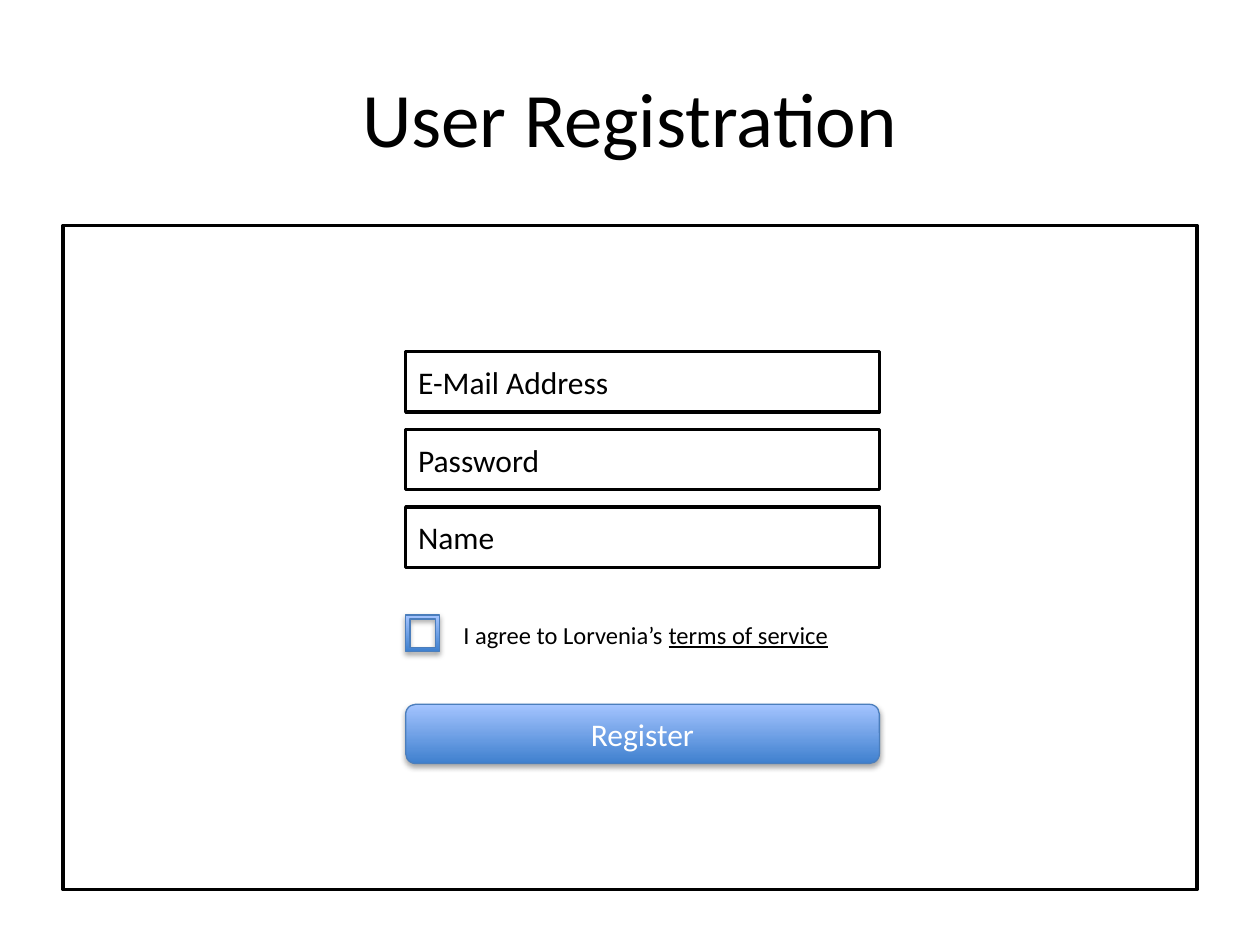
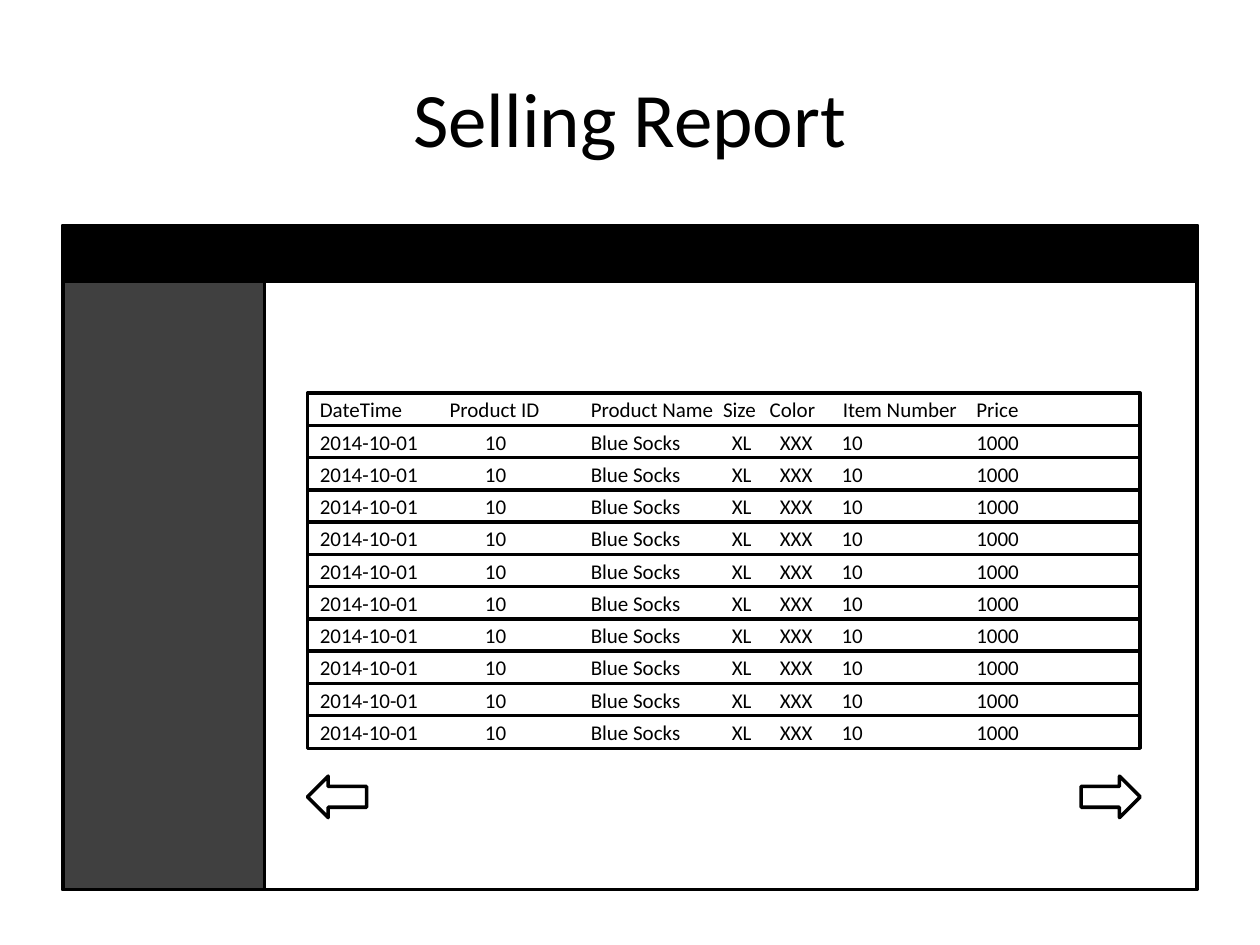
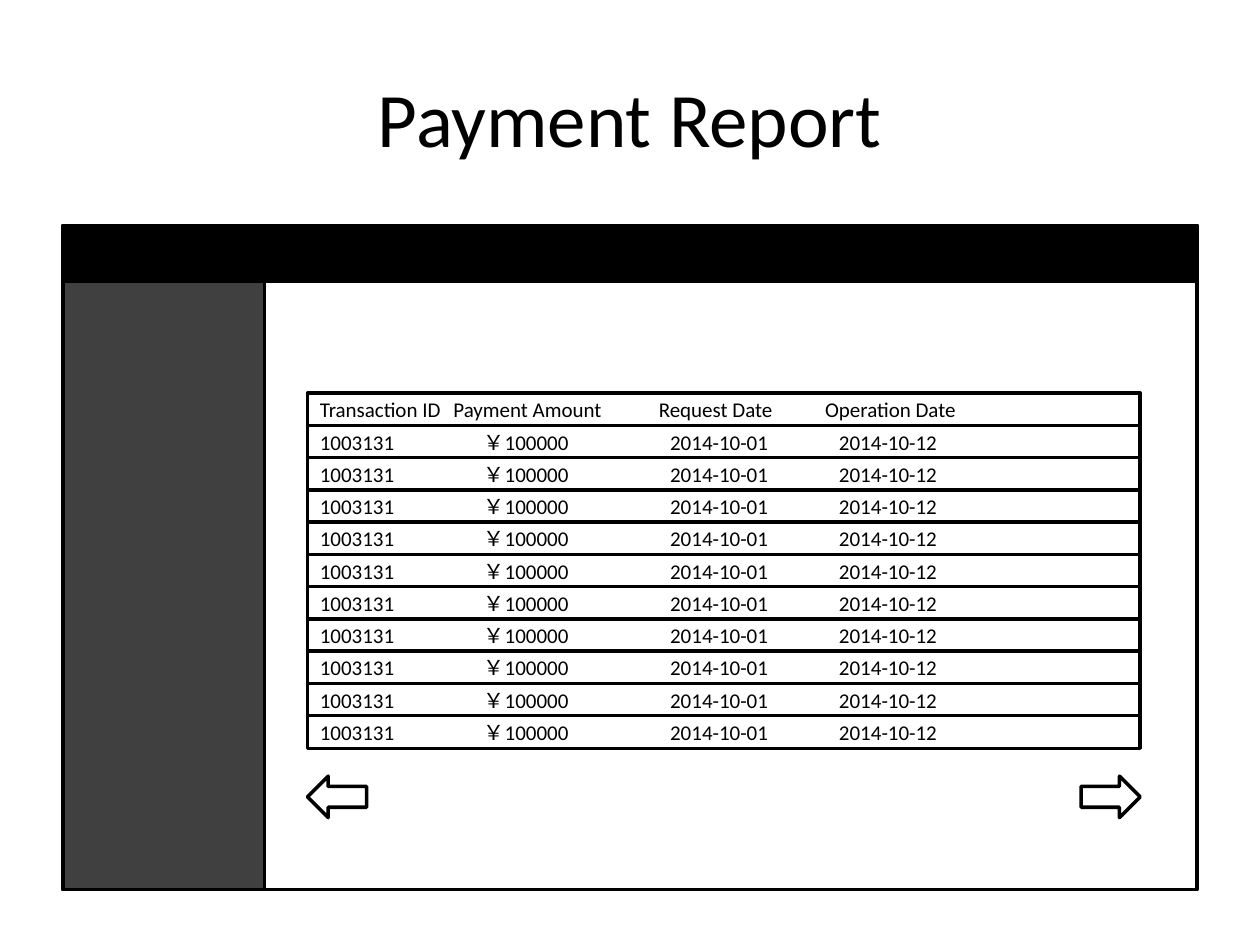
from dataclasses import dataclass

from pptx import Presentation
from pptx.dml.color import RGBColor
from pptx.enum import shapes, text
from pptx.oxml import parse_xml
from pptx.oxml.ns import nsdecls, qn
from pptx.util import Inches, Pt

FONT = "Calibri"
BLACK, WHITE, SIDEBAR = "000000", "FFFFFF", "404040"
BUTTON_DARK, BUTTON_LIGHT, BUTTON_EDGE = "3F80CE", "A4C4FF", "4B7EBC"
OUTLINE = 2
SCREEN = (0.5, 1.79, 9, 5.27)
LEFT, CENTER = text.PP_ALIGN.LEFT, text.PP_ALIGN.CENTER
RECT = shapes.MSO_SHAPE.RECTANGLE
RECORDS_PER_PAGE = 10


@dataclass
class Row:
    """Values of a report row and the tab stops, in inches, that space them."""
    values: list
    stops: list


SALES_HEADINGS = Row(
    ["DateTime", "Product ID", "Product Name", "Size", "Color", "Item Number", "Price"],
    [1.03, 2.15, 3.2, 3.57, 4.15, 5.21])
SALE = Row(
    ["2014-10-01", "10", "Blue Socks", "XL", "XXX", "10", "1000"],
    [1.31, 2.15, 3.27, 3.65, 4.14, 5.21])
PAYMENT_HEADINGS = Row(
    ["Transaction ID", "Payment Amount", "Request Date", "Operation Date"],
    [1.06, 2.69, 4.01])
PAYMENT = Row(
    ["1003131", "￥100000", "2014-10-01", "2014-10-12"],
    [1.3, 2.78, 4.12])


def rgb(hex_color):
    return RGBColor.from_string(hex_color)


def add_run(paragraph, words, size, color=BLACK, underline=None):
    run = paragraph.add_run()
    run.text = words
    run.font.name = FONT
    run.font.size = Pt(size)
    run.font.color.rgb = rgb(color)
    run.font.underline = underline


def add_block(slide, preset, box, fill=None, line=BLACK, width=OUTLINE):
    block = slide.shapes.add_shape(preset, *map(Inches, box))
    block.shadow.inherit = False
    if fill:
        block.fill.solid()
        block.fill.fore_color.rgb = rgb(fill)
    else:
        block.fill.background()
    block.line.color.rgb = rgb(line)
    block.line.width = Pt(width)
    return block


def add_glossy(slide, preset, box):
    """Add a blue gradient control with a soft shadow below it."""
    control = add_block(slide, preset, box, line=BUTTON_EDGE, width=0.75)
    control.fill.gradient()
    control.fill.gradient_angle = 90
    for stop, color in zip(control.fill.gradient_stops, (BUTTON_DARK, BUTTON_LIGHT)):
        stop.color.rgb = rgb(color)
    control._element.spPr.find(qn("a:effectLst")).append(parse_xml(
        f'<a:outerShdw {nsdecls("a")} blurRad="{Pt(3.1)}" dist="{Pt(1.8)}" '
        f'dir="5400000" rotWithShape="0"><a:srgbClr val="{BLACK}">'
        '<a:alpha val="35000"/></a:srgbClr></a:outerShdw>'))
    return control


def add_label(block, words, size=18, align=LEFT, color=BLACK):
    block.text_frame.vertical_anchor = text.MSO_ANCHOR.MIDDLE
    paragraph = block.text_frame.paragraphs[0]
    paragraph.alignment = align
    add_run(paragraph, words, size, color)


def add_screen_slide(deck, title):
    """Add a slide with its title and the outline of the mocked-up screen."""
    slide = deck.slides.add_slide(deck.slide_layouts[5])
    heading = slide.shapes.title
    heading.left, heading.top, heading.width, heading.height = map(
        Inches, (0.5, 0.3, 9, 1.25))
    add_label(heading, title, 44, CENTER)
    add_block(slide, RECT, SCREEN)
    return slide


def add_terms(slide, left, top):
    add_glossy(slide, shapes.MSO_SHAPE.FRAME, (left, top, 0.27, 0.29))
    terms = slide.shapes.add_textbox(
        *map(Inches, (left + 0.36, top - 0.01, 3.26, 0.34))).text_frame
    terms.word_wrap = False
    terms.auto_size = text.MSO_AUTO_SIZE.SHAPE_TO_FIT_TEXT
    paragraph = terms.paragraphs[0]
    add_run(paragraph, "I agree to Lorvenia’s ", 14)
    add_run(paragraph, "terms of service", 14, underline=True)


def add_registration_form(slide, box):
    left, top, width, height = box
    for row, prompt in enumerate(["E-Mail Address", "Password", "Name"]):
        field = add_block(slide, RECT, (left, top + row * 0.617, width, 0.48), WHITE)
        add_label(field, prompt)
    add_terms(slide, left, top + 2.09)
    register = add_glossy(slide, shapes.MSO_SHAPE.ROUNDED_RECTANGLE,
                          (left, top + height - 0.47, width, 0.47))
    add_label(register, "Register", align=CENTER, color=WHITE)


def add_navigation(slide, box):
    left, top, width, height = box
    bar = 0.44
    add_block(slide, RECT, (left, top, width, bar), BLACK)
    add_block(slide, RECT, (left, top + bar, 1.6, height - bar), SIDEBAR)


def set_tab_stops(paragraph, stops):
    tabs = "".join(f'<a:tab pos="{Inches(stop)}" algn="l"/>' for stop in stops)
    paragraph._p.get_or_add_pPr().append(
        parse_xml(f'<a:tabLst {nsdecls("a")}>{tabs}</a:tabLst>'))


def add_records(slide, box, rows):
    left, top, width, height = box
    row_height = 0.26
    pitch = (height - row_height) / (len(rows) - 1)
    for index, row in enumerate(rows):
        strip = add_block(slide, RECT, (left, top + index * pitch, width, row_height),
                          WHITE)
        set_tab_stops(strip.text_frame.paragraphs[0], row.stops)
        add_label(strip, "\t".join(row.values), 12)


def add_paging(slide, left, top, width):
    arrow_width, arrow_height = 0.47, 0.33
    for preset, x in ((shapes.MSO_SHAPE.RIGHT_ARROW, left + width - arrow_width),
                      (shapes.MSO_SHAPE.LEFT_ARROW, left)):
        add_block(slide, preset, (x, top, arrow_width, arrow_height), WHITE)


def add_report_slide(deck, title, headings, record):
    slide = add_screen_slide(deck, title)
    add_navigation(slide, SCREEN)
    left, top, width, height = SCREEN[0] + 1.94, SCREEN[1] + 1.33, 6.61, 2.82
    add_records(slide, (left, top, width, height),
                [headings] + [record] * RECORDS_PER_PAGE)
    add_paging(slide, left, top + height + 0.22, width)


def main():
    deck = Presentation()
    deck.slide_width, deck.slide_height = Inches(10), Inches(7.5)
    registration = add_screen_slide(deck, "User Registration")
    add_registration_form(registration, (3.22, 2.79, 3.76, 3.27))
    add_report_slide(deck, "Selling Report", SALES_HEADINGS, SALE)
    add_report_slide(deck, "Payment Report", PAYMENT_HEADINGS, PAYMENT)
    deck.save("out.pptx")


if __name__ == "__main__":
    main()
